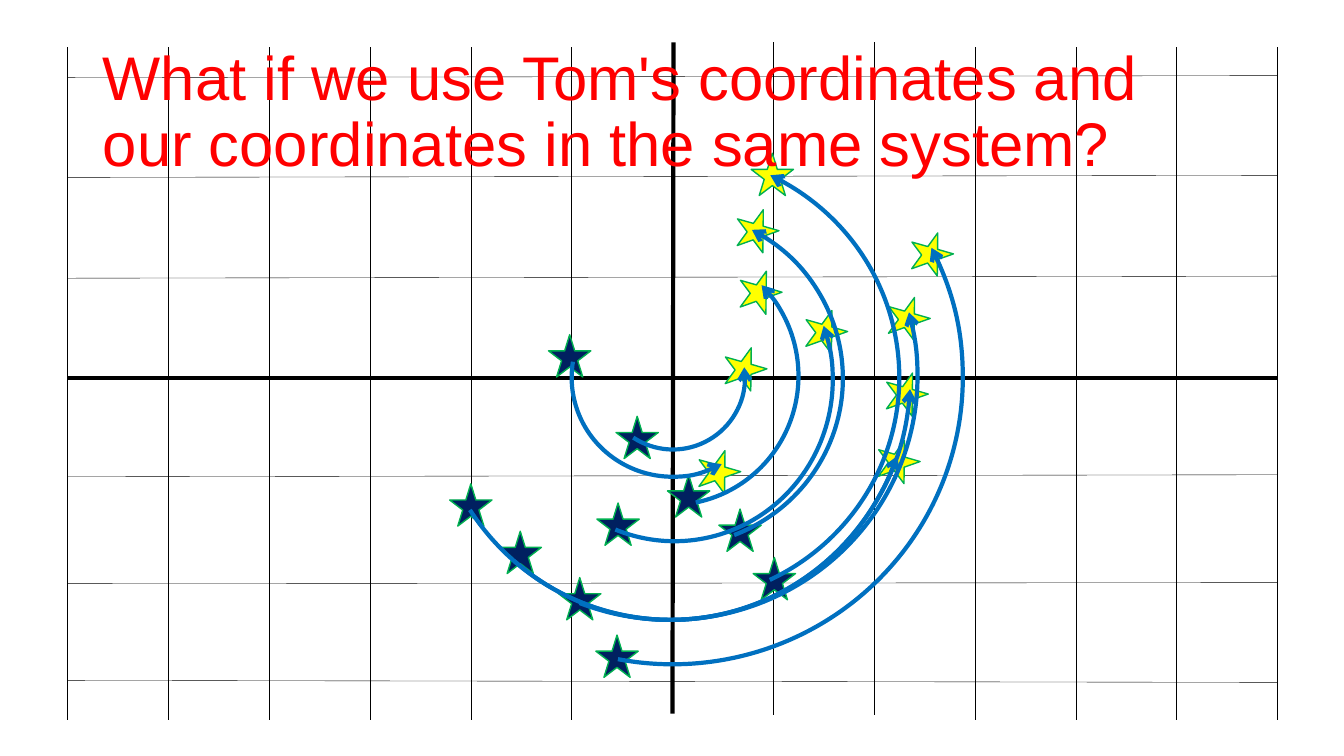
from pptx import Presentation
from pptx.dml.color import RGBColor
from pptx.enum.shapes import MSO_CONNECTOR, MSO_SHAPE
from pptx.enum.text import MSO_ANCHOR, MSO_AUTO_SIZE, PP_ALIGN
from pptx.oxml.ns import qn
from pptx.util import Inches, Pt
from lxml import etree

STRAIGHT = MSO_CONNECTOR.STRAIGHT
STAR, ARC = MSO_SHAPE.STAR_5_POINT, MSO_SHAPE.ARC
LEFT, MIDDLE, NO_AUTOFIT = PP_ALIGN.LEFT, MSO_ANCHOR.MIDDLE, MSO_AUTO_SIZE.NONE
BLACK, RED, BLUE = "000000", "FF0000", "0070C0"
NAVY, YELLOW, GREEN = "002060", "FFFF00", "00B050"
STAR_SIZE, STAR_TURN = 0.42, 233.3
GRID_BOX = (0.67, 0.47, 12, 6.67)
TITLE_BOX = (0.92, 0.4, 11.5, 1.45)

GRID_ROWS = [(0.77, 0.75), (1.76, 1.74), (2.76, 2.74), (4.73, 4.71), (5.79, 5.78), (6.75, 6.77)]
OUR_STARS = [(7.47, 5.53), (7.13, 5.05), (6.62, 4.71), (5.92, 4.99), (5.54, 5.73),
             (5.91, 6.3), (6.11, 4.13), (5.44, 3.32), (4.95, 5.27), (4.46, 4.8)]
TOM_STARS = [(7.27, 2.1), (7.3, 2.71), (7.95, 3.1), (8.77, 2.97), (9, 2.33),
             (7.15, 3.47), (6.89, 4.49), (8.75, 3.72), (8.67, 4.39)]
TOP_STAR = (7.45, 1.52)
ROTATION_ARCS = [
    ((5.96, 3.03, 1.43, 1.43), 351.91, 123.36),
    ((5.67, 2.76, 2, 1.97), 60.4, 188.97),
    ((5.39, 2.45, 2.53, 2.56), 314.96, 78.89),
    ((5.12, 2.17, 3.14, 3.2), 340.09, 111.55),
    ((4.27, 1.31, 4.76, 4.84), 19.5, 146.24),
    ((4.27, 1.31, 4.76, 4.84), 3.16, 130.17),
    ((3.79, 0.9, 5.76, 5.69), 333.4, 100.95),
    ((4.19, 1.31, 4.91, 4.84), 345.09, 111.7),
    ((4.99, 2.09, 3.37, 3.33), 297.98, 68.68),
    ((4.41, 1.52, 4.51, 4.45), 295.94, 64.2),
]


def color(hex_text):
    """Return the colour for a hex string."""
    return RGBColor.from_string(hex_text)


def set_line(shape, hex_text, width):
    """Give a shape's line its colour and width in points."""
    shape.line.color.rgb = color(hex_text)
    shape.line.width = Pt(width)


def add_line(slide, start, end, width):
    """Draw a black straight line without a shadow."""
    line = slide.shapes.add_connector(STRAIGHT, *map(Inches, start + end))
    set_line(line, BLACK, width)
    etree.SubElement(line._element.spPr, qn("a:effectLst"))


def add_grid(slide, box):
    """Draw the two axes and the thin grid inside a box."""
    left, top, width, height = box
    right, bottom = left + width, top + height
    middle = left + width / 2
    add_line(slide, (middle, bottom - 0.06), (middle + 0.01, top - 0.05), 3)
    add_line(slide, (left, 3.75), (right, 3.75), 3)
    for left_y, right_y in GRID_ROWS:
        add_line(slide, (left, left_y), (right, right_y), 0.25)
    for column in range(width + 1):
        if column != width // 2:
            shift = -0.05 if column in (7, 8) else 0
            x = left + column
            add_line(slide, (x, top + shift), (x, bottom + shift), 0.25)


def add_title(slide, box):
    """Place the title in a box, in front of what is drawn so far."""
    title = slide.shapes.title
    title.left, title.top, title.width, title.height = map(Inches, box)
    frame = title.text_frame
    frame.text = "What if we use Tom's coordinates and our coordinates in the same system?"
    frame.auto_size = NO_AUTOFIT
    frame.vertical_anchor = MIDDLE
    frame.word_wrap = True
    paragraph = frame.paragraphs[0]
    paragraph.alignment = LEFT
    paragraph.line_spacing = 0.9
    font = paragraph.runs[0].font
    font.name, font.size = "Arial", Pt(44)
    font.color.rgb = color(RED)
    slide.shapes._spTree.append(title._element)


def add_stars(slide, positions, fill, rotation=0):
    """Draw one green-edged star at each position."""
    for left, top in positions:
        star = slide.shapes.add_shape(STAR, *map(Inches, (left, top, STAR_SIZE, STAR_SIZE)))
        star.shadow.inherit = False
        star.rotation = rotation
        star.fill.solid()
        star.fill.fore_color.rgb = color(fill)
        set_line(star, GREEN, 1)


def add_rotation_arc(slide, box, start, end):
    """Draw an arc between two angles in degrees, with an arrowhead at its start."""
    arc = slide.shapes.add_shape(ARC, *map(Inches, box))
    arc.shadow.inherit = False
    arc.adjustments[0] = start * 0.6
    arc.adjustments[1] = end * 0.6
    arc.fill.background()
    set_line(arc, BLUE, 3)
    etree.SubElement(arc.line._get_or_add_ln(), qn("a:headEnd"), type="arrow")


def build_slide(presentation):
    """Build the slide that shows both sets of coordinates."""
    slide = presentation.slides.add_slide(presentation.slide_layouts[5])
    add_grid(slide, GRID_BOX)
    add_stars(slide, [TOP_STAR], YELLOW)
    add_title(slide, TITLE_BOX)
    add_stars(slide, OUR_STARS, NAVY)
    add_stars(slide, TOM_STARS, YELLOW, STAR_TURN)
    for box, start, end in ROTATION_ARCS:
        add_rotation_arc(slide, box, start, end)


def main():
    """Create and save the presentation."""
    presentation = Presentation()
    presentation.slide_width = Inches(13.33)
    presentation.slide_height = Inches(7.5)
    build_slide(presentation)
    presentation.save("out.pptx")


if __name__ == "__main__":
    main()
